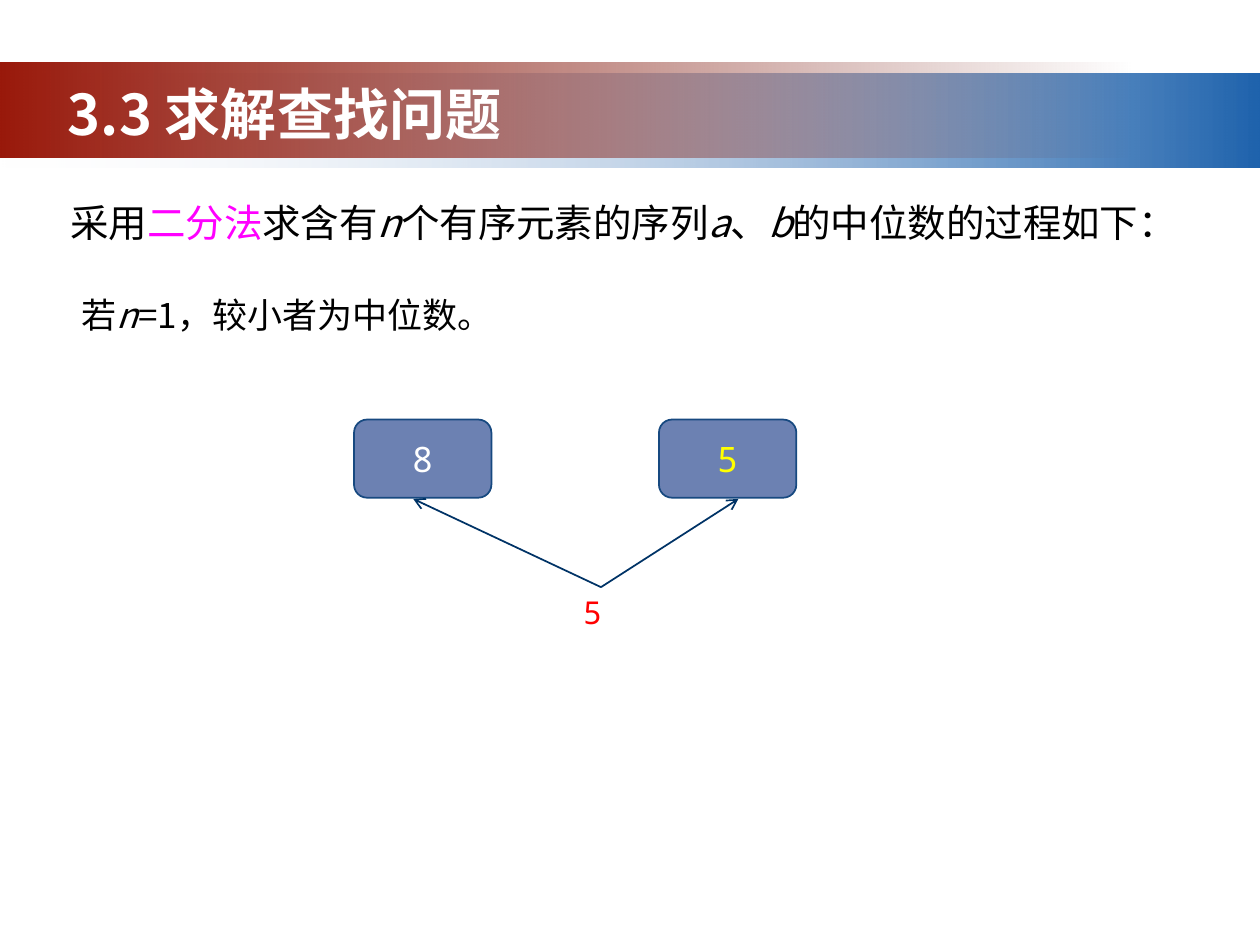
from lxml.etree import SubElement
from pptx import Presentation
from pptx.dml.color import RGBColor
from pptx.enum.shapes import MSO_CONNECTOR, MSO_SHAPE
from pptx.enum.text import MSO_ANCHOR, PP_ALIGN
from pptx.oxml.ns import qn
from pptx.util import Inches, Pt

WHITE = RGBColor(0xFF, 0xFF, 0xFF)
BLACK = RGBColor(0, 0, 0)
PINK = RGBColor(0xFF, 0, 0xFF)
YELLOW = RGBColor(0xFF, 0xFF, 0)
RED = RGBColor(0xFF, 0, 0)
PALE = RGBColor(0xF1, 0xF2, 0xF7)
BLUE = RGBColor(0x1F, 0x63, 0xAD)
RUST = RGBColor(0x99, 0x19, 0x0B)
WINE = RGBColor(0x6D, 0x12, 0x08)
SLATE = RGBColor(0x6C, 0x81, 0xB2)
EDGE = RGBColor(0x17, 0x49, 0x80)
NAVY = RGBColor(0x00, 0x33, 0x66)
SANS = "Noto Sans CJK SC"
MONO = "Noto Sans Mono"


def style(run, face, size, color):
    font = run.font
    font.name = face
    font.size = Pt(size)
    font.color.rgb = color
    SubElement(run._r.get_or_add_rPr(), qn("a:ea")).set("typeface", face)


def add_text(slide, box, parts, face, size, color):
    frame = slide.shapes.add_textbox(*map(Inches, box)).text_frame
    frame.word_wrap = True
    para = frame.paragraphs[0]
    for part in parts:
        run = para.add_run()
        run.text = part
        style(run, face, size, color)
        run.font.italic = part in ("n", "a", "b")
    return para


def add_band(slide, box, colors, clear):
    band = slide.shapes.add_shape(MSO_SHAPE.RECTANGLE, *map(Inches, box))
    band.shadow.inherit = False
    band.line.fill.background()
    band.fill.gradient()
    band.fill.gradient_angle = 0
    for stop, color, place in zip(band.fill.gradient_stops, colors, (0, 1)):
        stop.color.rgb = color
        stop.position = place
    tints = list(band._element.spPr.iter(qn("a:srgbClr")))
    SubElement(tints[clear], qn("a:alpha")).set("val", "0")


def add_header(slide, left, top, width):
    add_band(slide, (left, top + 0.08, width, 0.75), (PALE, BLUE), 0)
    add_band(slide, (left, top, width - 1, 0.75), (RUST, WINE), 1)
    box = (left + 0.44, top + 0.08, 8.08, 0.62)
    para = add_text(slide, box, ["3.3 求解查找问题"], SANS, 32, WHITE)
    para.runs[0].font.bold = True


def add_intro(slide, left, top, width):
    parts = ["采用", "二分法", "求含有", "n", "个有序元素的序列", "a", "、", "b",
             "的中位数的过程如下："]
    para = add_text(slide, (left, top, width, 0.47), parts, SANS, 22, BLACK)
    para.runs[1].font.color.rgb = PINK
    parts = ["若", "n", "=1，较小者为中位数。"]
    add_text(slide, (left + 0.09, top + 0.75, 3.52, 0.44), parts, SANS, 20, BLACK)


def add_node(slide, left, top, text, color):
    node = slide.shapes.add_shape(
        MSO_SHAPE.ROUNDED_RECTANGLE,
        Inches(left), Inches(top), Inches(1.09), Inches(0.62))
    node.shadow.inherit = False
    node.fill.solid()
    node.fill.fore_color.rgb = SLATE
    node.line.color.rgb = EDGE
    node.line.width = Pt(1)
    frame = node.text_frame
    frame.text = text
    frame.vertical_anchor = MSO_ANCHOR.MIDDLE
    para = frame.paragraphs[0]
    para.alignment = PP_ALIGN.CENTER
    style(para.runs[0], MONO, 20, color)


def add_arrow(slide, start, end):
    arrow = slide.shapes.add_connector(
        MSO_CONNECTOR.STRAIGHT, *map(Inches, start + end))
    arrow.line.color.rgb = NAVY
    arrow.line.width = Pt(1)
    SubElement(arrow.line._get_or_add_ln(), qn("a:tailEnd")).set("type", "arrow")
    SubElement(arrow._element.spPr, qn("a:effectLst"))


def add_graph(slide, left, top):
    add_node(slide, left, top, "8", WHITE)
    add_node(slide, left + 2.42, top, "5", YELLOW)
    root = (left + 1.96, top + 1.33)
    add_text(slide, (left + 1.72, root[1], 0.47, 0.51), ["5"], MONO, 18, RED)
    for shift in (3.05, 0.47):
        add_arrow(slide, root, (left + shift, top + 0.63))


def main():
    deck = Presentation()
    deck.slide_width = Inches(10)
    deck.slide_height = Inches(7.5)
    slide = deck.slides.add_slide(deck.slide_layouts[6])
    add_header(slide, 0, 0.5, 10)
    add_intro(slide, 0.46, 1.53, 9.29)
    add_graph(slide, 2.81, 3.33)
    deck.save("out.pptx")


if __name__ == "__main__":
    main()
